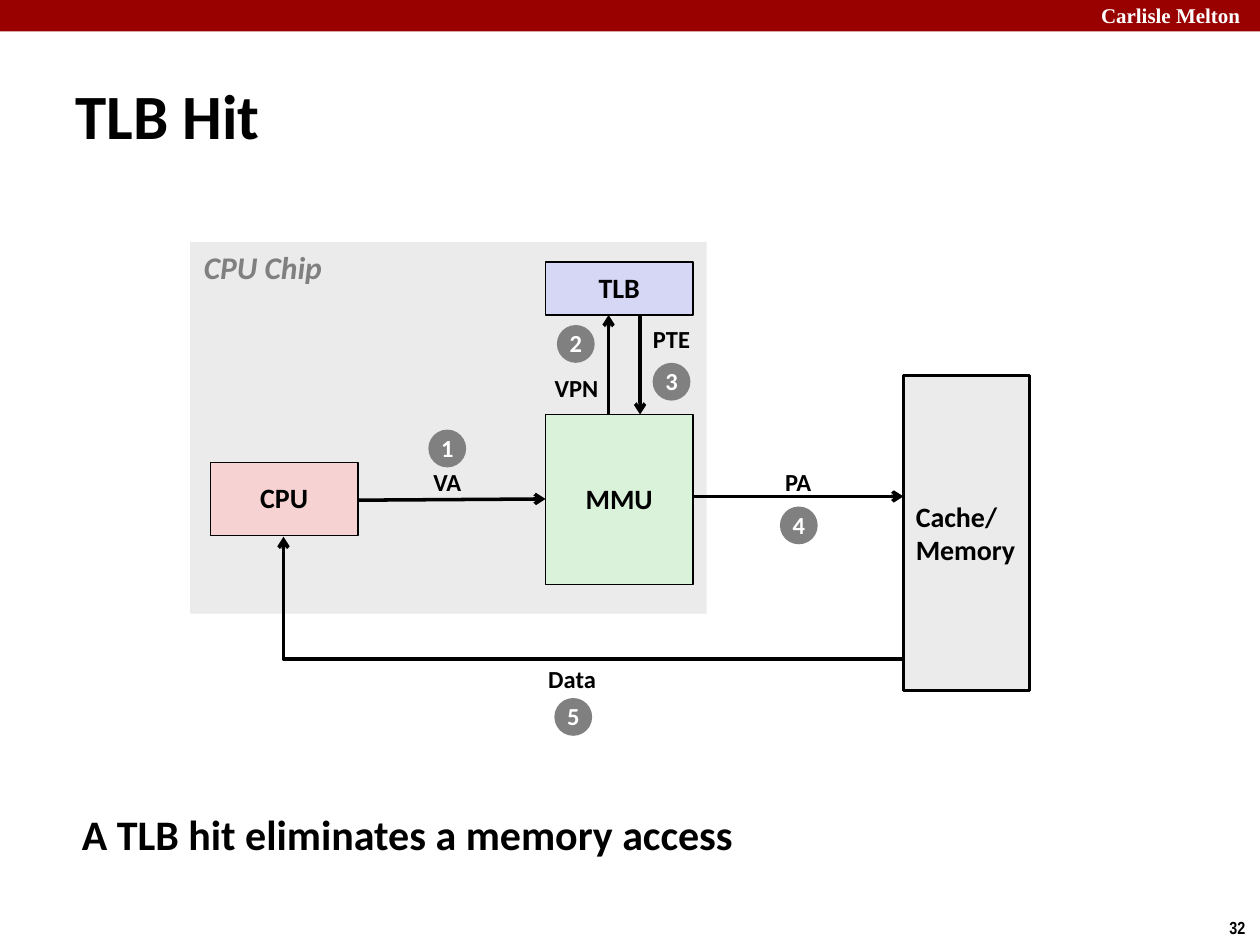
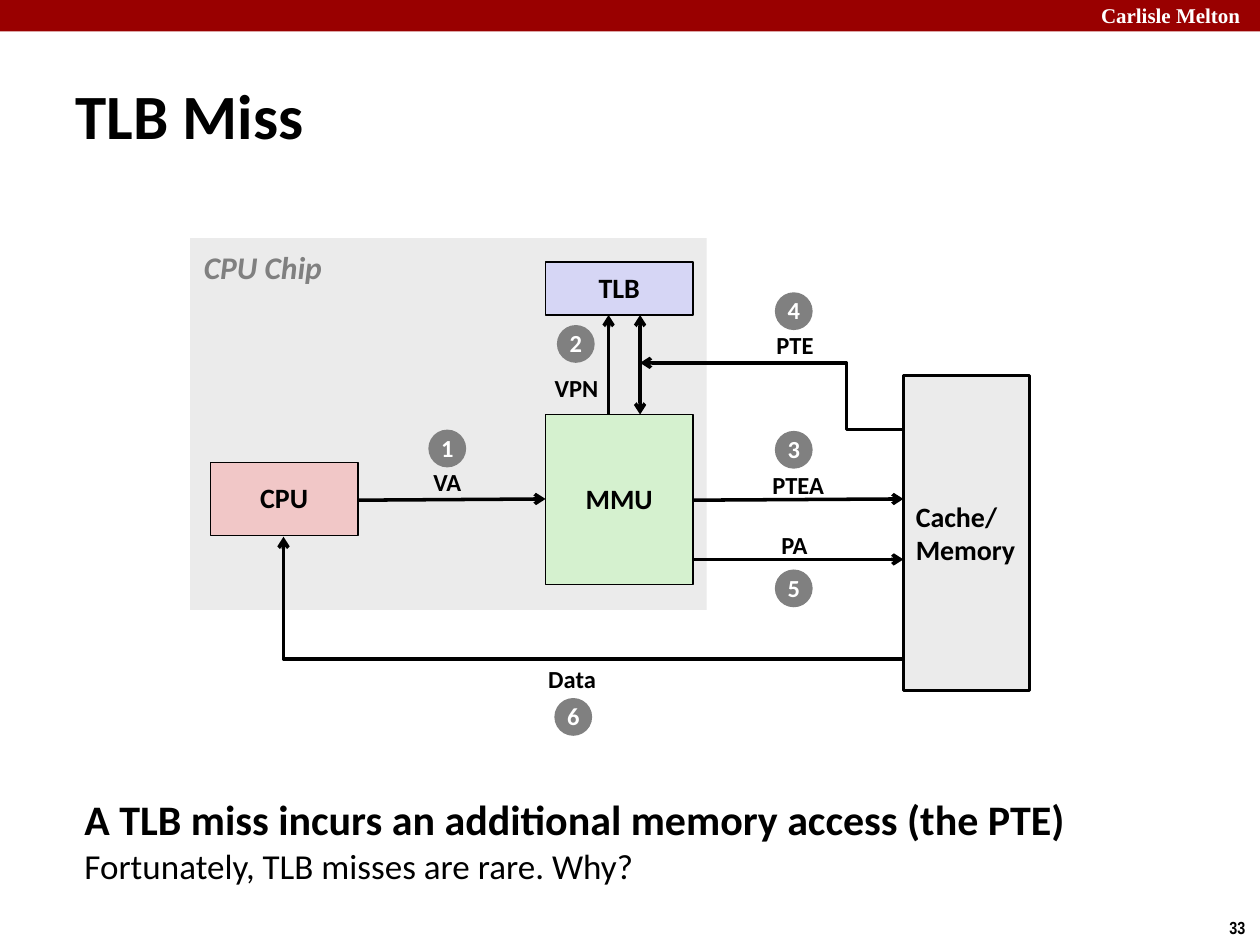
from lxml.etree import SubElement
from pptx import Presentation
from pptx.dml.color import RGBColor
from pptx.enum.shapes import MSO_CONNECTOR as Link, MSO_SHAPE as Shape
from pptx.enum.text import MSO_ANCHOR as Anchor, MSO_AUTO_SIZE as Fit, PP_ALIGN as Align
from pptx.oxml.ns import qn
from pptx.util import Inches, Pt

BLACK, WHITE, GREY, PALE, RED = "000000", "FFFFFF", "808080", "EBEBEB", "990000"


def colour(value):
    return RGBColor.from_string(value)


def assign(target, values):
    for name, value in values.items():
        setattr(target, name, value)


class Diagram:
    font = "Calibri"
    badge_size = 0.3
    centred = {"alignment": Align.CENTER, "line_spacing": 0.98}
    left = {"alignment": Align.LEFT}

    def __init__(self):
        self.deck = Presentation()
        assign(self.deck, {"slide_width": Inches(10), "slide_height": Inches(7.5)})

    def start(self, title, number):
        self.page = self.deck.slides.add_slide(self.deck.slide_layouts[1])
        self.block((0, 0, 10, 0.25), RED)
        self.text("Carlisle Melton", (8.64, -0.03, 1.43, 0.3), 12, WHITE,
                  font="Times New Roman")
        self.text(str(number), (9.66, 7.23, 0.34, 0.27), 10, font="Arial Narrow")
        heading = self.page.shapes.title
        self.place(heading, (0.5, 0.48, 9.53, 0.86))
        self.set_lines(heading, [title], 36, anchor=Anchor.MIDDLE, wrap=True)

    def place(self, box, at):
        names = ("left", "top", "width", "height")
        assign(box, dict(zip(names, map(Inches, at))))

    def style(self, span, size, ink=BLACK, bold=True, italic=False, font=None):
        assign(span.font, {"name": font or self.font, "size": Pt(size),
                           "bold": bold, "italic": italic})
        span.font.color.rgb = colour(ink)

    def set_lines(self, box, lines, size, ink=BLACK, layout=None,
                  anchor=Anchor.TOP, wrap=False, **look):
        frame = box.text_frame
        assign(frame, {"word_wrap": wrap, "auto_size": Fit.NONE,
                       "vertical_anchor": anchor})
        for index, line in enumerate(lines):
            para = frame.add_paragraph() if index else frame.paragraphs[0]
            assign(para, layout or self.left)
            span = para.add_run()
            span.text = line
            self.style(span, size, ink, **look)

    def text(self, words, at, size, ink=BLACK, **look):
        box = self.page.shapes.add_textbox(*map(Inches, at))
        self.set_lines(box, [words], size, ink, **look)

    def label(self, words, at):
        self.text(words, at, 14, layout=self.centred, anchor=Anchor.MIDDLE)

    def block(self, at, fill, outline=None, kind=Shape.RECTANGLE):
        box = self.page.shapes.add_shape(kind, *map(Inches, at))
        box.shadow.inherit = False
        box.fill.solid()
        box.fill.fore_color.rgb = colour(fill)
        if outline:
            box.line.color.rgb = colour(BLACK)
            box.line.width = Pt(outline)
        else:
            box.line.fill.background()
        return box

    def unit(self, words, at, fill):
        self.set_lines(self.block(at, fill, 1), [words], 16,
                       layout=self.centred, anchor=Anchor.MIDDLE)

    def badge(self, number, left, top):
        at = (left, top, self.badge_size, self.badge_size)
        self.set_lines(self.block(at, GREY, kind=Shape.OVAL), [str(number)], 14, WHITE,
                       layout=self.centred, anchor=Anchor.MIDDLE)

    def arrow(self, start, end, kind=Link.STRAIGHT, both=False):
        line = self.page.shapes.add_connector(kind, *map(Inches, start + end))
        line.line.color.rgb = colour(BLACK)
        line.line.width = Pt(2)
        properties = line._element.spPr
        stroke = properties.find(qn("a:ln"))
        for tag in ("a:headEnd", "a:tailEnd") if both else ("a:tailEnd",):
            SubElement(stroke, qn(tag), type="arrow")
        SubElement(properties, qn("a:effectLst"))
        return line

    def elbow(self, start, end, preset, bend=None):
        properties = self.arrow(end, start, Link.ELBOW)._element.spPr
        properties.find(qn("a:xfrm")).set("rot", "10800000")
        geometry = properties.find(qn("a:prstGeom"))
        geometry.set("prst", preset)
        if bend:
            guides = geometry.find(qn("a:avLst"))
            if guides is None:
                guides = SubElement(geometry, qn("a:avLst"))
            SubElement(guides, qn("a:gd"), name="adj1", fmla=f"val {bend}")

    def summary(self, at, claim, remark=None):
        body = self.page.placeholders[1]
        self.place(body, at)
        self.set_lines(body, [claim], 24, wrap=True)
        para = body.text_frame.paragraphs[0]
        para.space_before = Pt(4.8)
        properties = para._p.get_or_add_pPr()
        for name in ("marL", "indent"):
            properties.set(name, "0")
        SubElement(properties, qn("a:buNone"))
        if remark:
            para.add_line_break()
            span = para.add_run()
            span.text = remark
            self.style(span, 20, bold=False)

    def machine(self, chip_top, cpu_fill, mmu_fill, last_step, both):
        self.block((1.51, chip_top, 4.1, 2.95), PALE)
        self.text("CPU Chip", (1.52, 1.92, 1.16, 0.4), 18, GREY, italic=True)
        self.unit("CPU", (1.67, 3.67, 1.17, 0.58), cpu_fill)
        self.unit("MMU", (4.33, 3.29, 1.17, 1.35), mmu_fill)
        self.unit("TLB", (4.33, 2.08, 1.17, 0.42), "D6D6F5")
        memory = self.block((7.17, 2.98, 1, 2.5), PALE, 1.5)
        self.set_lines(memory, ["Cache/", "Memory"], 16, anchor=Anchor.MIDDLE)
        self.arrow((2.84, 3.97), (4.33, 3.96))
        self.arrow((4.83, 3.29), (4.83, 2.5))
        self.arrow((5.08, 2.5), (5.08, 3.29), both=both)
        self.elbow((7.17, 5.23), (2.25, 4.26), "bentConnector2")
        self.label("VA", (3.34, 3.67, 0.42, 0.33))
        self.label("VPN", (4.3, 2.92, 0.55, 0.33))
        self.label("Data", (4.25, 5.23, 0.58, 0.33))
        self.badge(1, 3.4, 3.41)
        self.badge(2, 4.42, 2.58)
        self.badge(last_step, 4.4, 5.54)


diagram = Diagram()

diagram.start("TLB Hit", 32)
diagram.machine(1.92, "F6D2D2", "DBF2DA", last_step=5, both=False)
diagram.label("PTE", (5.08, 2.53, 0.5, 0.33))
diagram.badge(3, 5.18, 2.88)
diagram.arrow((5.5, 3.94), (7.17, 3.94))
diagram.label("PA", (6.13, 3.67, 0.41, 0.33))
diagram.badge(4, 6.19, 4.02)
diagram.summary((0.55, 6.37, 7.86, 0.63), "A TLB hit eliminates a memory access")

diagram.start("TLB Miss", 33)
diagram.machine(1.89, "F1C7C7", "D5F1CF", last_step=6, both=True)
diagram.arrow((5.5, 3.97), (7.17, 3.96))
diagram.label("PTEA", (6.03, 3.69, 0.61, 0.33))
diagram.badge(3, 6.15, 3.42)
diagram.elbow((7.17, 3.41), (5.08, 2.88), "bentConnector3", bend=21600)
diagram.label("PTE", (6.06, 2.58, 0.5, 0.33))
diagram.badge(4, 6.15, 2.32)
diagram.arrow((5.5, 4.44), (7.17, 4.44))
diagram.label("PA", (6.1, 4.17, 0.41, 0.33))
diagram.badge(5, 6.15, 4.52)
diagram.summary((0.57, 6.25, 8.43, 1),
                "A TLB miss incurs an additional memory access (the PTE)",
                "Fortunately, TLB misses are rare. Why?")

diagram.deck.save("out.pptx")
